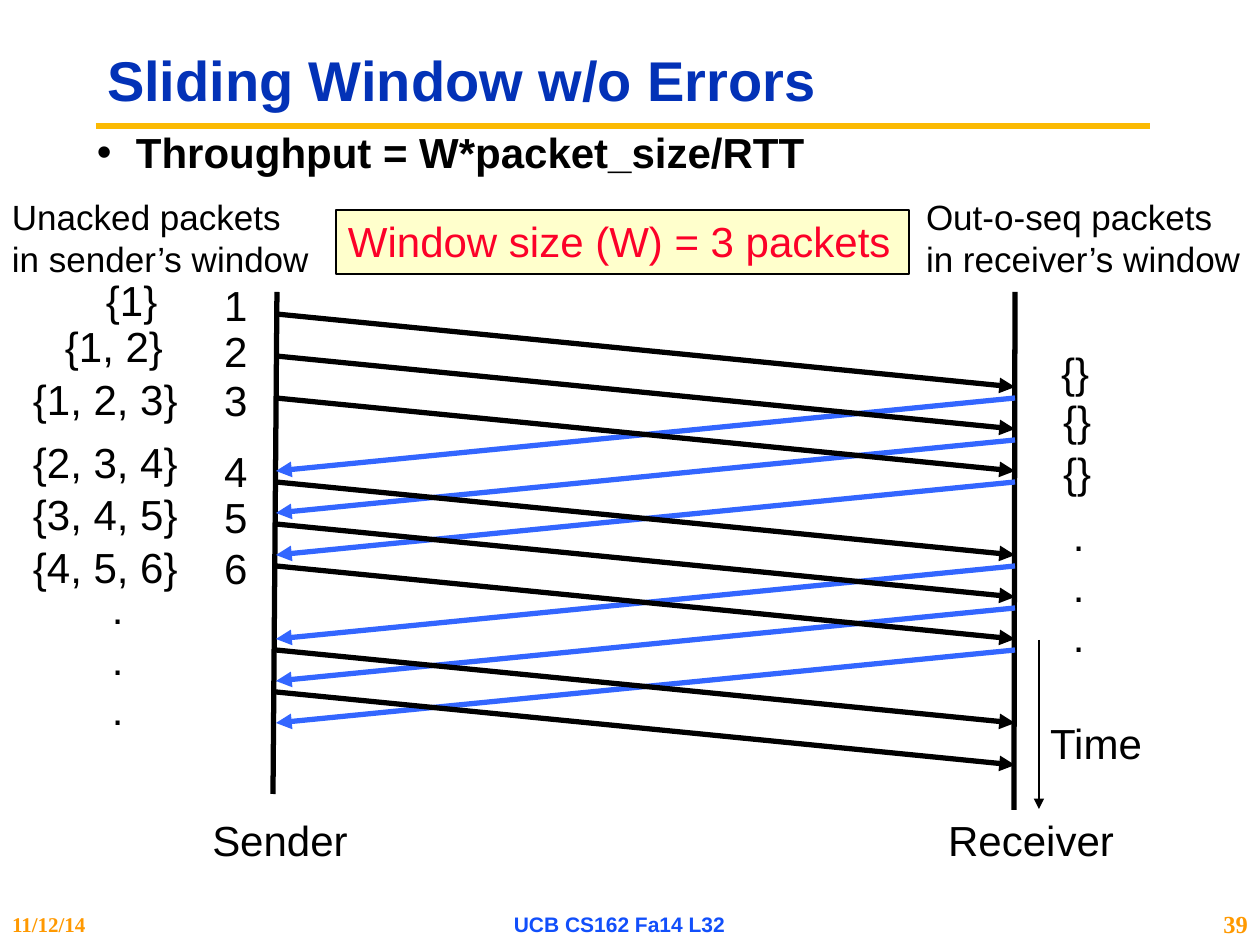
import pptx
import pptx.util
import pptx.dml.color
import pptx.enum.shapes
import pptx.enum.text
import pptx.oxml.ns
from lxml import etree

PX = 914400 / 126
COLORS = {
    "title": "0332B7", "rule": "FBBA03", "text": "000000", "ack": "3366FF",
    "note_fill": "FFFFCC", "note_text": "FC0128",
    "footer": "114FFB", "corner": "FF9900",
}
ALIGN = pptx.enum.text.PP_ALIGN
ANCHOR = pptx.enum.text.MSO_ANCHOR
LINE_PITCH = 42
CYCLE = 168
WINDOW = 3


def emu(pixels):
    return pptx.util.Emu(round(pixels * PX))


def color(name):
    return pptx.dml.color.RGBColor.from_string(COLORS[name])


def style_text(frame, lines, size, ink="text", bold=False, align=ALIGN.LEFT,
               anchor=ANCHOR.TOP, font="Arial", wrap=False):
    frame.text = "\n".join(lines)
    frame.auto_size = pptx.enum.text.MSO_AUTO_SIZE.NONE
    frame.word_wrap = wrap
    frame.vertical_anchor = anchor
    frame.margin_left = frame.margin_right = emu(12)
    frame.margin_top = frame.margin_bottom = emu(6)
    for paragraph in frame.paragraphs:
        paragraph.alignment = align
        paragraph.font.name = font
        paragraph.font.size = pptx.util.Pt(size)
        paragraph.font.bold = bold
        paragraph.font.color.rgb = color(ink)


def add_text(slide, box, lines, size=24, **style):
    shape = slide.shapes.add_textbox(*map(emu, box))
    style_text(shape.text_frame, lines, size, **style)


def add_line(slide, start, end, ink="text", width=3, arrow=False):
    connector = slide.shapes.add_connector(
        pptx.enum.shapes.MSO_CONNECTOR.STRAIGHT, *map(emu, (*start, *end)))
    connector.line.color.rgb = color(ink)
    connector.line.width = pptx.util.Pt(width)
    qn = pptx.oxml.ns.qn
    if arrow:
        etree.SubElement(connector.line._get_or_add_ln(), qn("a:tailEnd"), type="triangle")
    etree.SubElement(connector._element.spPr, qn("a:effectLst"))


def place(shape, box):
    shape.left, shape.top, shape.width, shape.height = map(emu, box)


def add_heading(slide, left, top):
    """Title, rule under it and the one bullet."""
    title, body = slide.placeholders
    place(title, (left, top, 1061, 102))
    style_text(title.text_frame, ["Sliding Window w/o Errors"], 32, ink="title",
               bold=True, anchor=ANCHOR.MIDDLE, wrap=True)
    add_line(slide, (left + 1, top + 94), (left + 1055, top + 94), "rule", 3.75)
    place(body, (left - 10, top + 94, 1092, 95))
    style_text(body.text_frame, ["Throughput = W*packet_size/RTT"], 24,
               bold=True, wrap=True)
    for shape in (title, body):
        paragraph = shape.text_frame.paragraphs[0]
        paragraph.line_spacing = 0.9
        paragraph.space_before = pptx.util.Pt(0)
    indent = emu(39)
    properties = body.text_frame.paragraphs[0]._p.get_or_add_pPr()
    properties.set("marL", str(indent))
    properties.set("indent", str(-indent))


def add_window_note(slide, left, top):
    note = slide.shapes.add_shape(pptx.enum.shapes.MSO_SHAPE.RECTANGLE,
                                  *map(emu, (left, top, 573, 64)))
    note.shadow.inherit = False
    note.fill.solid()
    note.fill.fore_color.rgb = color("note_fill")
    note.line.color.rgb = color("text")
    note.line.width = pptx.util.Pt(0.75)
    style_text(note.text_frame, ["Window size (W) = 3 packets"], 24, ink="note_text")


def add_exchange(slide, left, top, width):
    """Two timelines with packets going right and acks coming back."""
    right = left + width
    add_line(slide, (left + 1, top), (left - 3, top + 502))
    add_line(slide, (right, top), (right - 1, top + 518))

    def send_times(first, count):
        return [first + CYCLE * (i // WINDOW) + LINE_PITCH * (i % WINDOW)
                for i in range(count)]

    for y in send_times(top + 106, 6):
        add_line(slide, (right, y), (left, y + 73), "ack", arrow=True)
    for y in send_times(top + 22, 8):
        add_line(slide, (left, y), (right, y + 73), arrow=True)

    for name, center in (("Sender", left + 4), ("Receiver", right + 16)):
        add_text(slide, (center - 100, top + 516, 200, 63), [name],
                 align=ALIGN.CENTER, anchor=ANCHOR.MIDDLE)
    add_line(slide, (right + 24, top + 348), (right + 24, top + 517), width=1, arrow=True)
    add_text(slide, (right + 22, top + 419, 118, 63), ["Time"],
             align=ALIGN.CENTER, anchor=ANCHOR.MIDDLE)


def add_sender_state(slide, left, top):
    add_text(slide, (left, top, 325, 97), ["Unacked packets", "in sender’s window"], 20)
    rows = [  # number offset, set left, set offset, set
        (85, 94, 80, "{1}"), (131, 53, 126, "{1, 2}"), (180, 21, 179, "{1, 2, 3}"),
        (251, 21, 242, "{2, 3, 4}"), (297, 21, 294, "{3, 4, 5}"),
        (348, 21, 347, "{4, 5, 6}"),
    ]
    for number, (number_y, set_x, set_y, unacked) in enumerate(rows, 1):
        add_text(slide, (left + 212, top + number_y, 47, 62), [str(number)])
        add_text(slide, (left + set_x, top + set_y, 176, 63), [unacked])
    add_text(slide, (left + 100, top + 388, 37, 165), ["."] * 3)


def add_receiver_state(slide, left, top):
    add_text(slide, (left, top, 345, 97), ["Out-o-seq packets", "in receiver’s window"], 20)
    for x, y in ((135, 152), (137, 200), (137, 252)):
        add_text(slide, (left + x, top + y, 55, 63), ["{}"])
    add_text(slide, (left + 147, top + 315, 37, 165), ["."] * 3)


def add_footer(slide, top):
    shared = {"bold": True, "anchor": ANCHOR.MIDDLE, "wrap": True}
    add_text(slide, (0, top, 210, 42), ["11/12/14"], 12, ink="corner",
             font="Times New Roman", **shared)
    add_text(slide, (420, top, 399, 42), ["UCB CS162 Fa14 L32"], 12, ink="footer",
             align=ALIGN.CENTER, **shared)
    add_text(slide, (1187, top, 73, 42), ["39"], 14, ink="corner",
             font="Times New Roman", align=ALIGN.RIGHT, **shared)


def main():
    presentation = pptx.Presentation()
    presentation.slide_width, presentation.slide_height = emu(1260), emu(945)
    slide = presentation.slides.add_slide(presentation.slide_layouts[1])
    add_heading(slide, 95, 32)
    add_window_note(slide, 336, 210)
    add_exchange(slide, 276, 292, 739)
    add_sender_state(slide, 0, 189)
    add_receiver_state(slide, 914, 189)
    add_footer(slide, 903)
    presentation.save("out.pptx")


if __name__ == "__main__":
    main()
